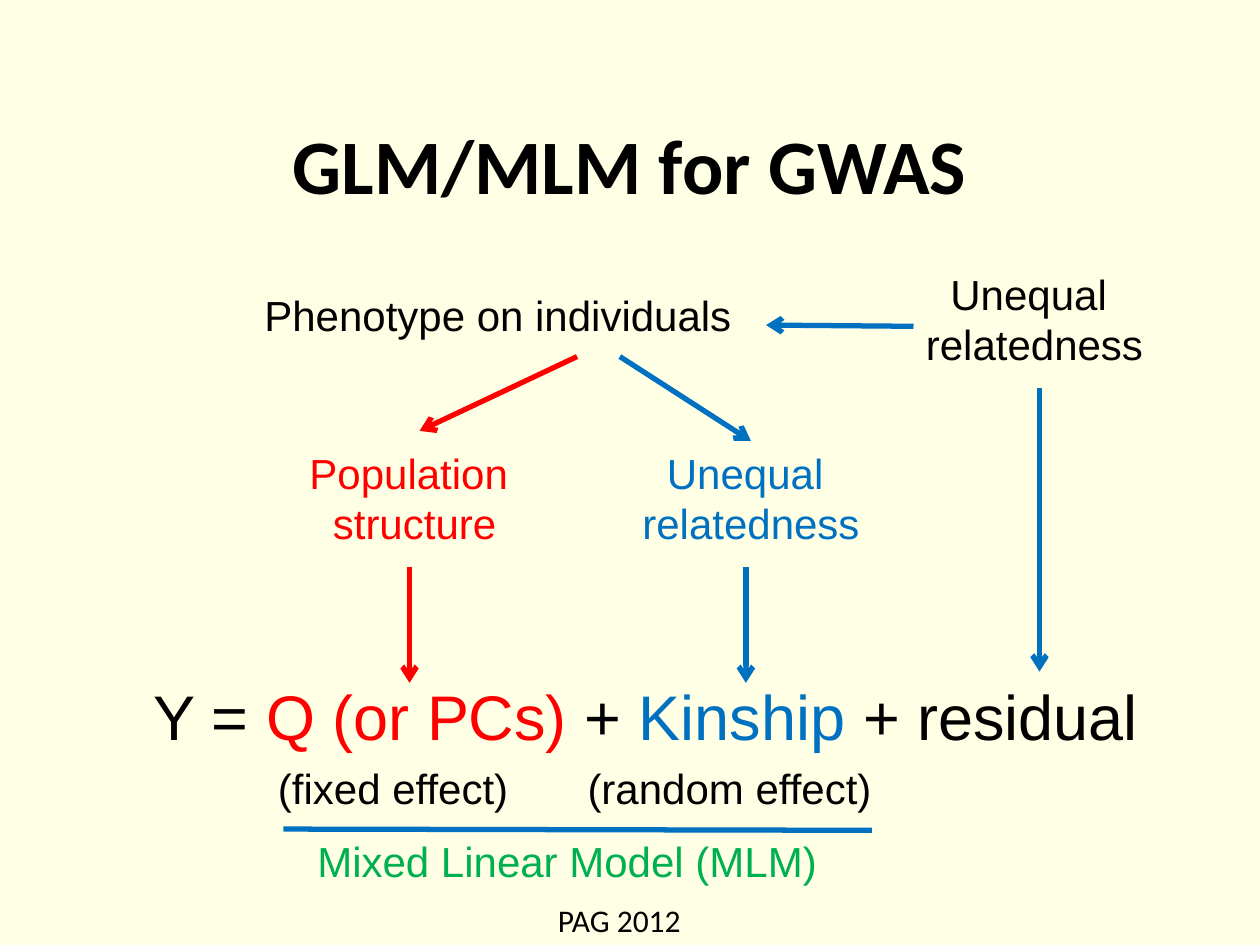
from lxml import etree
from pptx import Presentation
from pptx.dml.color import RGBColor
from pptx.enum.shapes import MSO_CONNECTOR
from pptx.enum.text import MSO_ANCHOR, MSO_AUTO_SIZE, PP_ALIGN
from pptx.oxml.ns import qn
from pptx.util import Inches, Pt

STRAIGHT = MSO_CONNECTOR.STRAIGHT
LEFT, CENTER = PP_ALIGN.LEFT, PP_ALIGN.CENTER
TOP, MIDDLE = MSO_ANCHOR.TOP, MSO_ANCHOR.MIDDLE
NO_FIT, GROW = MSO_AUTO_SIZE.NONE, MSO_AUTO_SIZE.SHAPE_TO_FIT_TEXT

COLORS = {
    "background": "FFFFE6",
    "black": "000000",
    "red": "FF0000",
    "blue": "0070C0",
    "green": "00B050",
}


def rgb(name):
    return RGBColor.from_string(COLORS[name])


def add_text(slide, box, lines, size=24, color="black", font="Arial",
             align=CENTER, anchor=TOP, bold=False, wrap=True, fit=GROW):
    """Each line is a paragraph: a string, or a list of (text, color) runs."""
    frame = slide.shapes.add_textbox(*map(Inches, box)).text_frame
    frame.word_wrap = wrap
    frame.auto_size = fit
    frame.vertical_anchor = anchor
    for index, line in enumerate(lines):
        paragraph = frame.paragraphs[0] if index == 0 else frame.add_paragraph()
        paragraph.alignment = align
        paragraph.font.name = font
        paragraph.font.size = Pt(size)
        paragraph.font.bold = bold
        runs = [(line, color)] if isinstance(line, str) else line
        for text, run_color in runs:
            run = paragraph.add_run()
            run.text = text
            run.font.color.rgb = rgb(run_color)


def add_line(slide, start, end, color, arrow=True):
    line = slide.shapes.add_connector(STRAIGHT, *map(Inches, start + end))
    line.line.color.rgb = rgb(color)
    line.line.width = Pt(3)
    if arrow:
        etree.SubElement(line.line._get_or_add_ln(), qn("a:tailEnd"), type="arrow")
    etree.SubElement(line._element.spPr, qn("a:effectLst"))


def main():
    prs = Presentation()
    prs.slide_width, prs.slide_height = Inches(10), Inches(7.5)
    slide = prs.slides.add_slide(prs.slide_layouts[6])
    slide.background.fill.solid()
    slide.background.fill.fore_color.rgb = rgb("background")

    # Footer and title
    add_text(slide, (4.33, 7.1, 1.21, 0.4), ["PAG 2012"], size=18,
             font="Calibri", align=LEFT, wrap=False)
    add_text(slide, (0.75, 0.67, 8.5, 1.25), ["GLM/MLM for GWAS"], size=44,
             font="Calibri", anchor=MIDDLE, bold=True, fit=NO_FIT)

    # Phenotype and the factors behind it
    add_text(slide, (2, 2.25, 4, 0.5), ["Phenotype on individuals"], align=LEFT)
    relatedness = ["Unequal ", "relatedness"]
    factors = [
        (2.25, 3.5, ["Population ", "structure"], "red"),
        (4.92, 3.5, relatedness, "blue"),
        (7.17, 2.08, relatedness, "black"),
    ]
    for left, top, lines, color in factors:
        add_text(slide, (left, top, 2.08, 0.91), lines, color=color)

    # Model equation
    equation = [("Y = ", "black"), ("Q (or PCs)", "red"), (" + ", "black"),
                ("Kinship", "blue"), (" + residual", "black")]
    add_text(slide, (1, 5.33, 8.25, 0.71), [equation], size=36)
    add_text(slide, (2.08, 6, 2.08, 0.5), ["(fixed effect)"])
    add_text(slide, (4.5, 6, 2.58, 0.5), ["(random effect)"])
    add_text(slide, (2.42, 6.58, 4.33, 0.5), ["Mixed Linear Model (MLM)"],
             color="green", align=LEFT)
    add_line(slide, (6.92, 6.59), (2.25, 6.58), "blue", arrow=False)

    # Arrows between phenotype, factors and model terms
    arrows = [
        ((4.58, 2.83), (3.33, 3.42), "red"),
        ((4.92, 2.83), (5.96, 3.5), "blue"),
        ((3.25, 4.5), (3.25, 5.42), "red"),
        ((5.92, 4.5), (5.92, 5.42), "blue"),
        ((8.25, 3.08), (8.25, 5.33), "blue"),
        ((7.25, 2.59), (6.08, 2.58), "blue"),
    ]
    for start, end, color in arrows:
        add_line(slide, start, end, color)

    prs.save("out.pptx")


if __name__ == "__main__":
    main()
